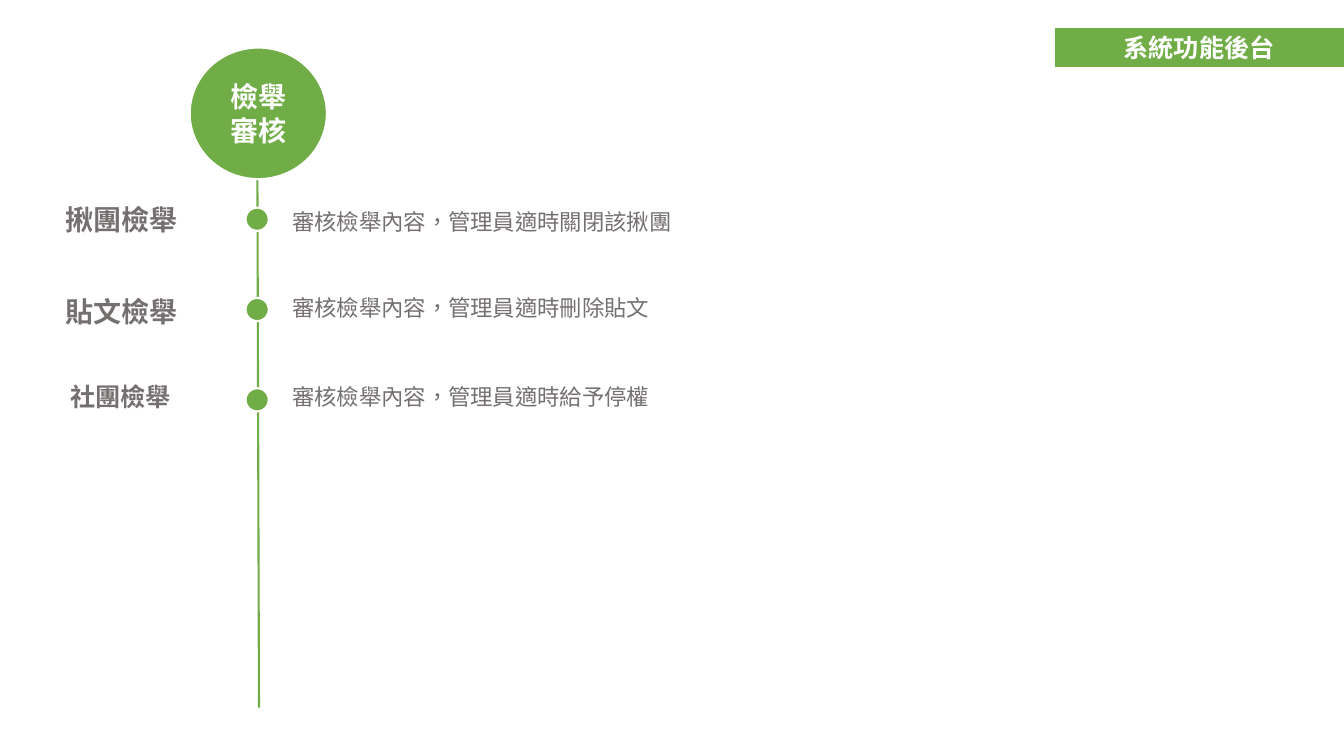
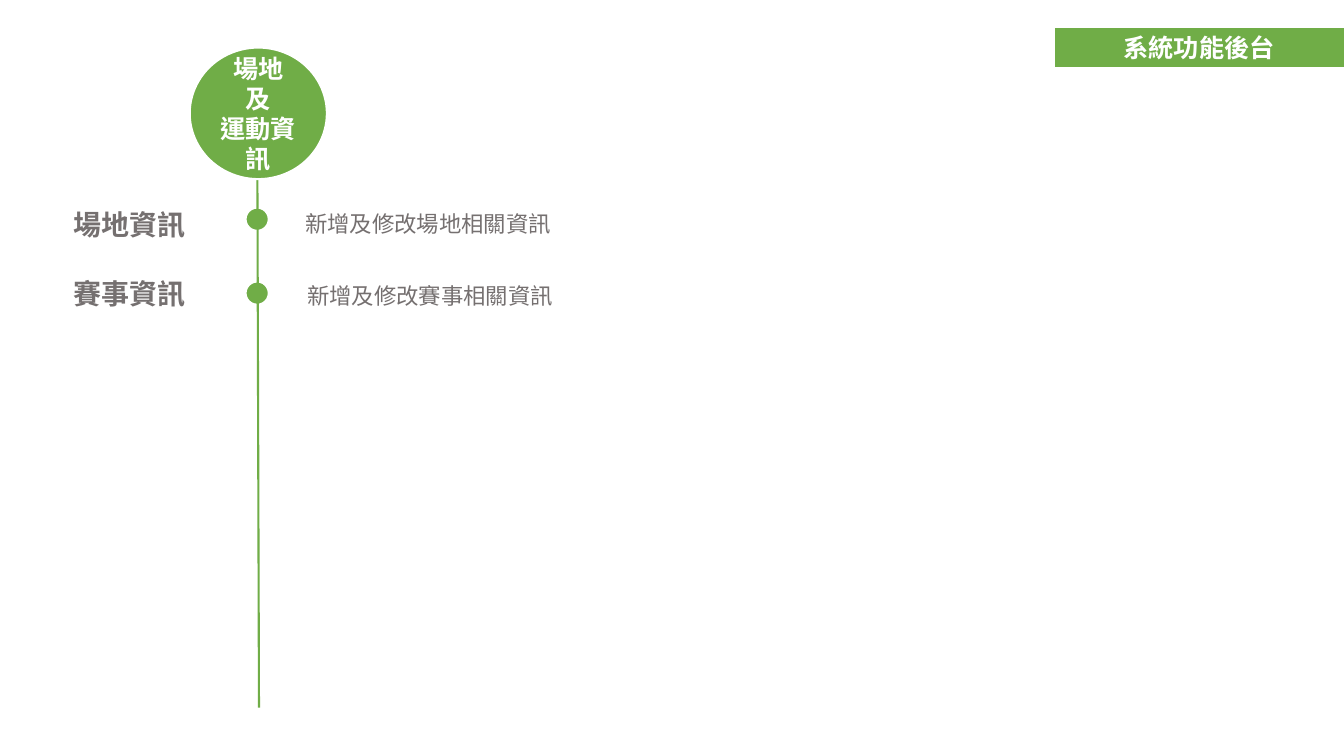
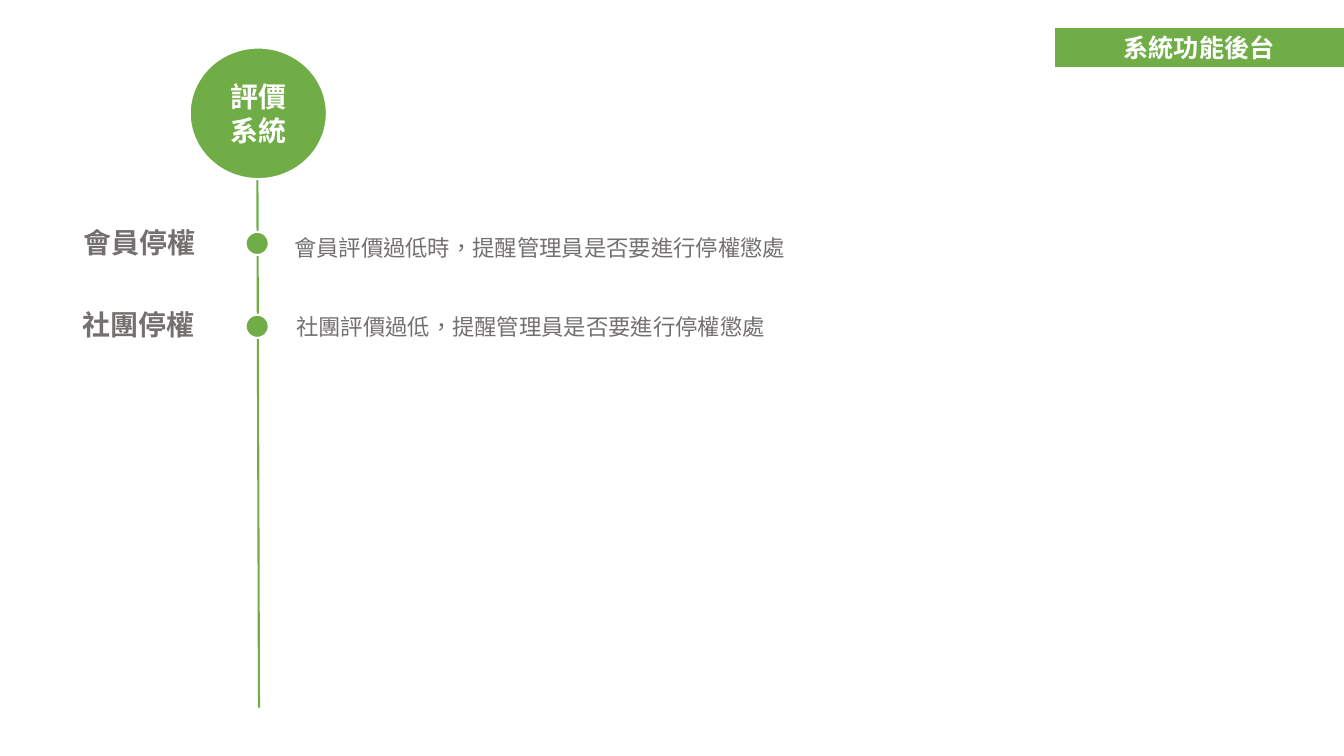
from dataclasses import dataclass
from typing import NamedTuple

from lxml import etree
from pptx import Presentation
from pptx import util as u
from pptx.dml import color as c
from pptx.enum import lang, shapes, text
from pptx.oxml import ns


@dataclass(frozen=True)
class Theme:
    green: c.RGBColor = c.RGBColor(0x70, 0xAD, 0x47)
    gray: c.RGBColor = c.RGBColor(0x75, 0x70, 0x70)
    white: c.RGBColor = c.RGBColor(0xFF, 0xFF, 0xFF)
    font: str = "Arial"
    large: float = 20
    mid: float = 18
    small: float = 16
    line: float = 1.5


class Box(NamedTuple):
    left: float
    top: float
    width: float
    height: float


@dataclass(frozen=True)
class Label:
    words: str
    box: Box
    size: float = 20
    anchor: text.MSO_ANCHOR = text.MSO_ANCHOR.TOP
    align: text.PP_ALIGN = text.PP_ALIGN.CENTER


@dataclass(frozen=True)
class Note:
    words: str
    box: Box
    solid: bool = False


@dataclass(frozen=True)
class Page:
    title: str
    first: float
    pitch: float
    labels: list[Label]
    notes: list[Note]
    size: float = 20
    over: bool = False


THEME = Theme()
TAG = "系統功能後台"
BAND = Box(752.5, 19, 208, 30)
HEAD = Box(135.5, 34, 98, 94)
AXIS = ((183.8, 106), (185, 505.5))
DOT = Box(175.4, 0, 16.6, 16.6)
MID, LEFT = text.MSO_ANCHOR.MIDDLE, text.PP_ALIGN.LEFT

PAGES = [
    Page("檢舉審核", 148.3, 64.5, [
        Label("揪團檢舉", Box(14.4, 137, 144.8, 38.8), anchor=MID),
        Label("貼文檢舉", Box(39, 206.6, 95, 31.6)),
        Label("社團檢舉", Box(42.5, 268.6, 87.2, 29), THEME.mid),
    ], [
        Note("審核檢舉內容，管理員適時關閉該揪團", Box(201.6, 145.4, 289.6, 26.6)),
        Note("審核檢舉內容，管理員適時刪除貼文", Box(201.6, 206.6, 393, 26.6)),
        Note("審核檢舉內容，管理員適時給予停權", Box(201.6, 270, 500.4, 26.6)),
    ]),
    Page("場地\v及\v運動資訊", 148.3, 52.8, [
        Label("場地資訊", Box(20.2, 141, 144.8, 38.8), anchor=MID),
        Label("賽事資訊", Box(44.8, 193.7, 95, 31.6)),
    ], [
        Note("新增及修改場地相關資訊", Box(211, 146.9, 192.4, 26.6)),
        Note("新增及修改賽事相關資訊", Box(212.4, 198, 192.4, 26.6)),
    ], THEME.mid, True),
    Page("評價系統", 165.6, 59.2, [
        Label("會員停權", Box(52.6, 157.7, 95, 31.6), align=LEFT),
        Label("社團停權", Box(51.8, 216, 95, 31.6), align=LEFT),
    ], [
        Note("會員評價過低時，提醒管理員是否要進行停權懲處",
             Box(203, 163.4, 489, 98.6), True),
        Note("社團評價過低，提醒管理員是否要進行停權懲處",
             Box(204.5, 220.3, 480.2, 26.6)),
    ]),
]


def place(box: Box) -> list[u.Length]:
    return [u.Pt(side) for side in box]


def write(shape, words: str, size: float, tint: c.RGBColor, bold: bool,
          align: text.PP_ALIGN, anchor: text.MSO_ANCHOR) -> None:
    frame = shape.text_frame
    frame.word_wrap = True
    frame.vertical_anchor = anchor
    para = frame.paragraphs[0]
    para.text = words
    para.alignment = align
    for run in para.runs:
        font = run.font
        font.name, font.size, font.bold = THEME.font, u.Pt(size), bold
        font.color.rgb = tint
        font.language_id = lang.MSO_LANGUAGE_ID.TRADITIONAL_CHINESE


def form(slide, kind: shapes.MSO_SHAPE, box: Box, words: str = "",
         size: float = THEME.mid) -> None:
    shape = slide.shapes.add_shape(kind, *place(box))
    shape.shadow.inherit = False
    shape.fill.solid()
    shape.fill.fore_color.rgb = THEME.green
    shape.line.color.rgb = THEME.white
    shape.line.width = u.Pt(THEME.line)
    if words:
        write(shape, words, size, THEME.white, True, text.PP_ALIGN.CENTER, MID)


def axis(slide) -> None:
    ends = [u.Pt(side) for point in AXIS for side in point]
    line = slide.shapes.add_connector(shapes.MSO_CONNECTOR.STRAIGHT, *ends)
    line.line.color.rgb = THEME.green
    line.line.width = u.Pt(THEME.line)
    etree.SubElement(line._element.spPr, ns.qn("a:effectLst"))


def dots(slide, page: Page) -> None:
    for row in range(len(page.labels)):
        box = DOT._replace(top=page.first + row * page.pitch)
        form(slide, shapes.MSO_SHAPE.OVAL, box)


def label(slide, item: Label) -> None:
    shape = slide.shapes.add_textbox(*place(item.box))
    write(shape, item.words, item.size, THEME.gray, True, item.align, item.anchor)


def note(slide, item: Note) -> None:
    shape = slide.shapes.add_textbox(*place(item.box))
    if item.solid:
        shape.fill.solid()
        shape.fill.fore_color.rgb = THEME.white
    write(shape, item.words, THEME.small, THEME.gray, False, LEFT,
          text.MSO_ANCHOR.TOP)


def draw(deck, page: Page) -> None:
    slide = deck.slides.add_slide(deck.slide_layouts[6])
    if page.over:
        dots(slide, page)
        axis(slide)
    else:
        axis(slide)
        dots(slide, page)
    form(slide, shapes.MSO_SHAPE.OVAL, HEAD, page.title, page.size)
    form(slide, shapes.MSO_SHAPE.RECTANGLE, BAND, TAG)
    for item in page.labels:
        label(slide, item)
    for item in page.notes:
        note(slide, item)


def main() -> None:
    deck = Presentation()
    deck.slide_width, deck.slide_height = u.Pt(960), u.Pt(540)
    for page in PAGES:
        draw(deck, page)
    deck.save("out.pptx")


if __name__ == "__main__":
    main()
